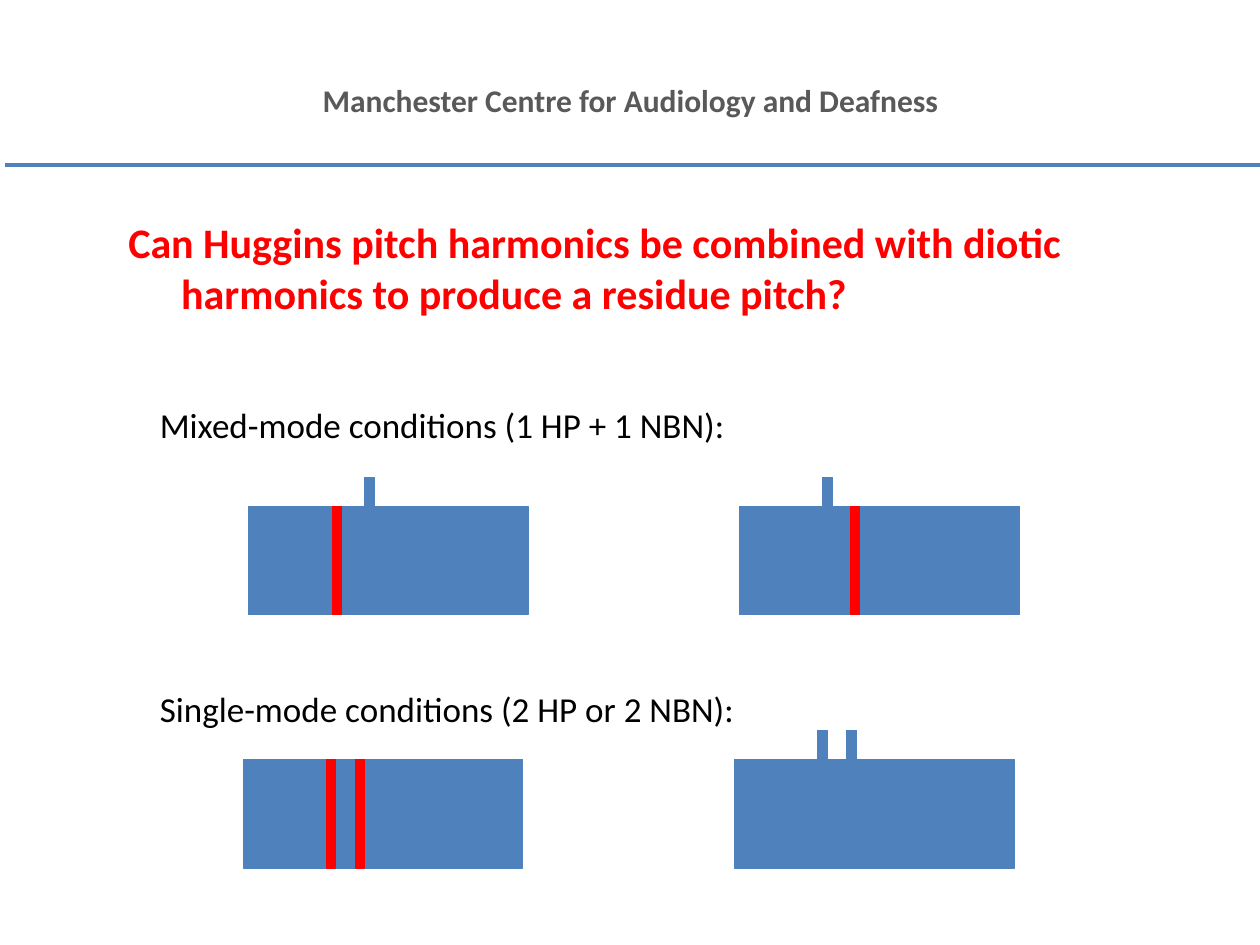
from dataclasses import dataclass

from lxml import etree
from pptx import Presentation
from pptx.dml.color import RGBColor
from pptx.enum import shapes, text
from pptx.oxml.ns import qn
from pptx.util import Inches, Pt


@dataclass(frozen=True)
class Theme:
    font: str = "Calibri"
    blue: RGBColor = RGBColor(0x4F, 0x81, 0xBD)
    red: RGBColor = RGBColor(0xFF, 0x00, 0x00)
    grey: RGBColor = RGBColor(0x59, 0x59, 0x59)
    black: RGBColor = RGBColor(0x00, 0x00, 0x00)
    header_size: Pt = Pt(18)
    title_size: Pt = Pt(24)
    label_size: Pt = Pt(20)


theme = Theme()
presentation = Presentation()
presentation.slide_width = Inches(10)
presentation.slide_height = Inches(7.5)
slide = presentation.slides.add_slide(presentation.slide_layouts[6])


def add_label(words, left, top, width, height, size, color, bold):
    box = slide.shapes.add_textbox(Inches(left), Inches(top), Inches(width), Inches(height))
    frame = box.text_frame
    frame.word_wrap = True
    frame.vertical_anchor = text.MSO_ANCHOR.MIDDLE
    frame.text = words
    paragraph = frame.paragraphs[0]
    font = paragraph.runs[0].font
    font.name, font.size, font.bold = theme.font, size, bold
    font.color.rgb = color
    return paragraph


def add_block(left, top, width, height, color):
    shape = slide.shapes.add_shape(
        shapes.MSO_SHAPE.RECTANGLE, Inches(left), Inches(top), Inches(width), Inches(height))
    shape.shadow.inherit = False
    shape.fill.solid()
    shape.fill.fore_color.rgb = color
    shape.line.color.rgb = color
    shape.line.width = Pt(0.75)


# Header
rule = slide.shapes.add_connector(
    shapes.MSO_CONNECTOR.STRAIGHT, Inches(0.04), Inches(1.31), Inches(10.04), Inches(1.31))
rule.line.color.rgb = theme.blue
rule.line.width = Pt(2)
etree.SubElement(rule._element.spPr, qn("a:effectLst"))
header = add_label("Manchester Centre for Audiology and Deafness",
                   0.28, 0.59, 9.45, 0.4, theme.header_size, theme.grey, True)
header.alignment = text.PP_ALIGN.CENTER

# Spectra: noise band left and top, narrowband-noise peaks, Huggins-pitch bands
spectra = [
    (1.97, 4.02, [2.89], [2.64]),
    (5.87, 4.02, [6.53], [6.75]),
    (1.93, 6.03, [], [2.59, 2.82]),
    (5.83, 6.03, [6.49, 6.72], []),
]
for left, top, peaks, pitches in spectra:
    add_block(left, top, 2.22, 0.86, theme.blue)
    for peak in peaks:
        add_block(peak, top - 0.23, 0.08, 1.06, theme.blue)
    for pitch in pitches:
        add_block(pitch, top, 0.07, 0.86, theme.red)

# Question and condition labels, with hanging indents
labels = [
    ("Can Huggins pitch harmonics be combined with diotic harmonics to produce a residue pitch?",
     0.92, 1.62, theme.title_size, theme.red, True),
    ("Mixed-mode conditions (1 HP + 1 NBN):", 1.17, 2.87, theme.label_size, theme.black, False),
    ("Single-mode conditions (2 HP or 2 NBN):", 1.17, 5.12, theme.label_size, theme.black, False),
]
for words, left, top, size, color, bold in labels:
    paragraph = add_label(words, left, top, 8.83, 1, size, color, bold)
    properties = paragraph._p.get_or_add_pPr()
    properties.set("marL", str(Inches(0.42)))
    properties.set("indent", str(-Inches(0.42)))

presentation.save("out.pptx")
